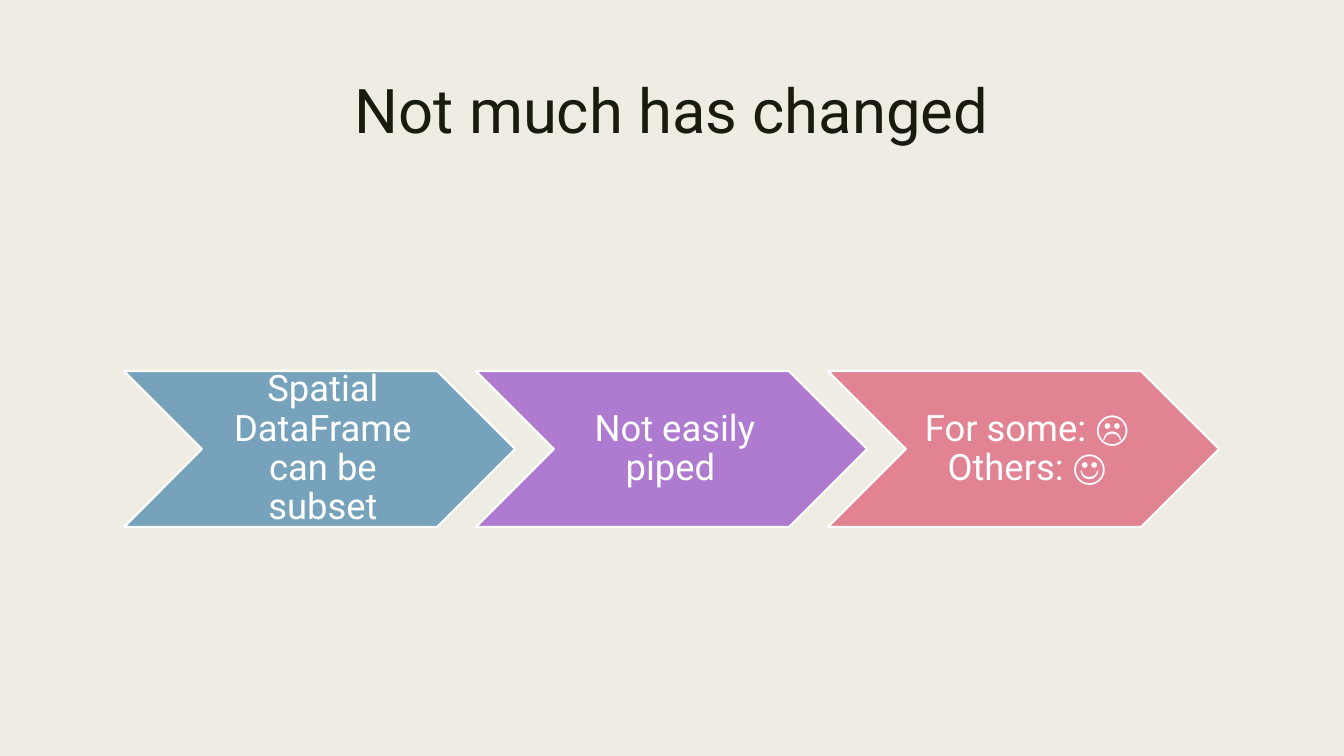
from pptx import Presentation
from pptx.dml.color import RGBColor
from pptx.enum.shapes import MSO_SHAPE
from pptx.enum.text import MSO_ANCHOR, MSO_AUTO_SIZE, PP_ALIGN
from pptx.util import Emu, Pt

CHEVRON = MSO_SHAPE.CHEVRON
TOP, MIDDLE = MSO_ANCHOR.TOP, MSO_ANCHOR.MIDDLE
CENTER = PP_ALIGN.CENTER
NO_FIT = MSO_AUTO_SIZE.NONE

CREAM = RGBColor(0xEF, 0xED, 0xE3)
INK = RGBColor(0x19, 0x1B, 0x0E)
WHITE = RGBColor(0xFF, 0xFF, 0xFF)
BLUE = RGBColor(0x77, 0xA2, 0xBB)
PURPLE = RGBColor(0xAE, 0x7B, 0xD0)
PINK = RGBColor(0xE2, 0x83, 0x94)

FONT = "Roboto"
SCALE = 914400 / 100.8  # EMU in one px


def px(n):
    return Emu(round(n * SCALE))


def write(shape, text, size, color, anchor, spacing, insets):
    frame = shape.text_frame
    frame.word_wrap = True
    frame.auto_size = NO_FIT
    frame.vertical_anchor = anchor
    (frame.margin_left, frame.margin_top,
     frame.margin_right, frame.margin_bottom) = map(px, insets)
    para = frame.paragraphs[0]
    para.alignment = CENTER
    para.line_spacing = spacing
    run = para.add_run()
    run.text = text
    run.font.name = FONT
    run.font.size = Pt(size)
    run.font.color.rgb = color


# Slide and background
deck = Presentation()
deck.slide_width, deck.slide_height = px(1344), px(756)
slide = deck.slides.add_slide(deck.slide_layouts[5])
slide.background.fill.solid()
slide.background.fill.fore_color.rgb = CREAM

# Title
title = slide.shapes.title
title.left, title.top, title.width, title.height = map(px, (71, 76, 1202, 163))
write(title, "Not much has changed", size=44, color=INK, anchor=TOP,
      spacing=0.89, insets=(10, 5, 10, 5))

# Row of chevrons
LEFT, ROW, WIDTH, HEIGHT, PITCH = 124, 371, 391, 156, 352
steps = [
    ("Spatial DataFrame can be subset", BLUE),
    ("Not easily piped ", PURPLE),
    ("For some: ☹ Others: ☺", PINK),
]
for i, (text, color) in enumerate(steps):
    step = slide.shapes.add_shape(
        CHEVRON, px(LEFT + i * PITCH), px(ROW), px(WIDTH), px(HEIGHT))
    step.shadow.inherit = False
    step.fill.solid()
    step.fill.fore_color.rgb = color
    step.line.color.rgb = WHITE
    step.line.width = Pt(1.5)
    write(step, text, size=26, color=WHITE, anchor=MIDDLE,
          spacing=0.9, insets=(11, 4, 4, 4))

deck.save("out.pptx")
